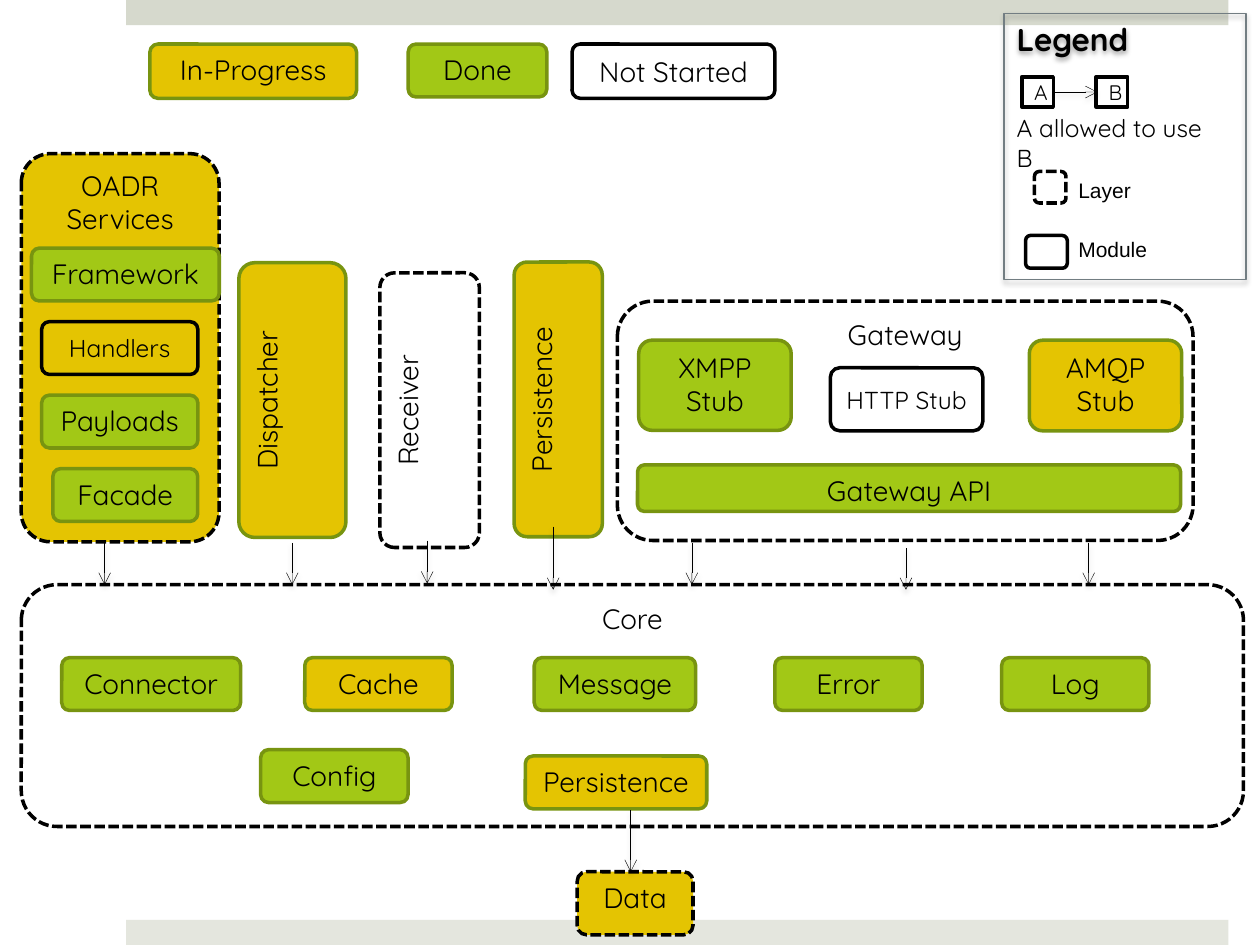
"""Build the module status and layering diagram slide."""
from dataclasses import dataclass

from lxml import etree
from pptx import Presentation
from pptx import util as u
from pptx.dml.color import RGBColor
from pptx.enum import dml, shapes, text
from pptx.oxml import ns


@dataclass(frozen=True)
class Theme:
    font: str = "Quicksand"
    label_font: str = "Arial"
    black: str = "000000"
    white: str = "FFFFFF"
    green: str = "A2C816"
    gold: str = "E4C402"
    olive: str = "789410"
    slate: str = "727D82"
    top_bar: str = "D6D9CD"
    bottom_bar: str = "E4E6DE"
    title: int = 18
    body: int = 16
    small: int = 14
    label: int = 12
    border: float = 2
    hairline: float = 0.25
    corner: float = 0.148


T = Theme()
DONE = dict(fill=T.green, line=T.olive)
PROGRESS = dict(fill=T.gold, line=T.olive)
TODO = dict(fill=T.white, line=T.black, size=T.small, middle=True)
LAYER = dict(fill=T.white, line=T.black, dash=True)
ACTIVE_LAYER = dict(LAYER, fill=T.gold)
KEY = dict(fill=T.white, line=T.black, size=T.label, middle=True, center=False, rounded=False)


class Diagram:
    def __init__(self, prs):
        self.s = prs.slides.add_slide(prs.slide_layouts[6])

    def add_runs(self, tf, lines, size, center=True, bold=False, font=T.font):
        for i, line in enumerate(lines.split("\n")):
            p = tf.add_paragraph() if i else tf.paragraphs[0]
            p.alignment = text.PP_ALIGN.CENTER if center else text.PP_ALIGN.LEFT
            r = p.add_run()
            r.text = line
            r.font.name, r.font.size, r.font.bold = font, u.Pt(size), bold
            r.font.color.rgb = RGBColor.from_string(T.black)

    def shadow(self, sp, alpha, dist):
        pr = sp.element.spPr
        fx = pr.find(ns.qn("a:effectLst"))
        if fx is None:
            fx = etree.SubElement(pr, ns.qn("a:effectLst"))
        outer = etree.SubElement(fx, ns.qn("a:outerShdw"), blurRad=str(u.Pt(3.1)),
                                 dist=str(u.Pt(dist)), dir="5400000", rotWithShape="0")
        color = etree.SubElement(outer, ns.qn("a:srgbClr"), val=T.black)
        etree.SubElement(color, ns.qn("a:alpha"), val=str(alpha * 1000))

    def box(self, at, words="", fill=None, line=None, width=T.border, dash=False, size=T.body,
            middle=False, center=True, bold=False, rounded=True, rotation=0):
        kind = shapes.MSO_SHAPE.ROUNDED_RECTANGLE if rounded else shapes.MSO_SHAPE.RECTANGLE
        sp = self.s.shapes.add_shape(kind, *map(u.Pt, at))
        sp.shadow.inherit = False
        sp.rotation = rotation
        if rounded:
            sp.adjustments[0] = T.corner
        if fill:
            sp.fill.solid()
            sp.fill.fore_color.rgb = RGBColor.from_string(fill)
        else:
            sp.fill.background()
        if line:
            sp.line.color.rgb = RGBColor.from_string(line)
            sp.line.width = u.Pt(width)
            if dash:
                sp.line.dash_style = dml.MSO_LINE.SQUARE_DOT
        else:
            sp.line.fill.background()
        tf = sp.text_frame
        tf.word_wrap = True
        tf.vertical_anchor = text.MSO_ANCHOR.MIDDLE if middle else text.MSO_ANCHOR.TOP
        if words:
            self.add_runs(tf, words, size, center, bold)
        return sp

    def label(self, at, words, size=T.label, font=T.label_font, wrap=False):
        tf = self.s.shapes.add_textbox(*map(u.Pt, at)).text_frame
        tf.word_wrap = wrap
        self.add_runs(tf, words, size, center=False, font=font)

    def arrow(self, x1, y1, x2, y2):
        c = self.s.shapes.add_connector(shapes.MSO_CONNECTOR.STRAIGHT,
                                        *map(u.Pt, (x1, y1, x2, y2)))
        c.line.color.rgb = RGBColor.from_string(T.black)
        c.line.width = u.Pt(T.hairline)
        etree.SubElement(c.get_or_add_ln(), ns.qn("a:tailEnd"), type="arrow")
        self.shadow(c, 35, 1.8)


def legend(d):
    d.box((591.1, 98, 18, 18), **LAYER)
    d.label((609.1, 98, 44.6, 21.6), "Layer")
    d.label((609.1, 131.8, 54, 21.6), "Module")
    frame = d.box((573.8, 7.9, 138.2, 151.9), "Legend", line=T.slate, width=0.75,
                  size=T.title, center=False, bold=True, rounded=False)
    d.shadow(frame, 38, 1.6)
    for x, name in ((583.9, "A"), (626.4, "B")):
        d.box((x, 43.9, 18, 17.3), name, **KEY)
    d.arrow(601.9, 52.6, 627.1, 52.6)
    d.label((573.8, 61.2, 121, 24.5), "A allowed to use B", T.small, T.font, wrap=True)
    d.box((586.1, 134.6, 23.8, 18.7), **TODO)


def status_key(d):
    d.box((85.7, 25.2, 118.1, 31), "In-Progress", **PROGRESS)
    d.box((233.3, 25.2, 79.2, 30.2), "Done", **DONE)
    d.box((326.9, 25.2, 115.9, 31), "Not Started", **dict(TODO, size=T.body))


def services(d):
    d.box((12.2, 87.8, 113, 221.8), "OADR\nServices", **ACTIVE_LAYER)
    modules = (("Framework", 18, 107.3, DONE), ("Handlers", 23.8, 89.3, dict(TODO, fill=T.gold)),
               ("Payloads", 23.8, 89.3, DONE), ("Facade", 30.2, 82.8, DONE))
    for i, (name, x, w, style) in enumerate(modules):
        d.box((x, 141.8 + 42 * i, w, 30.2), name, **style)


def columns(d):
    for name, x, y, h, style in (("Dispatcher", 88.6, 198, 61.2, PROGRESS),
                                 ("Receiver", 167, 205.9, 56.9, LAYER),
                                 ("Persistence", 240.5, 203, 50.4, PROGRESS)):
        d.box((x, y, 157, h), name, rotation=270, **style)


def gateway(d):
    d.box((352.8, 172.1, 329, 136.8), "Gateway", **LAYER)
    d.box((364.3, 265.7, 310.3, 26.6), "Gateway API", **DONE)
    d.box((365, 194.4, 87.1, 51.5), "XMPP Stub", **DONE)
    d.box((474.5, 210.2, 87.1, 36), "HTTP Stub", **TODO)
    d.box((588.2, 194.4, 87.1, 51.8), "AMQP Stub", **PROGRESS)


def core(d):
    d.box((12.2, 334.1, 698.4, 138.2), "Core", **LAYER)
    for name, x, y, w, style in (("Connector", 35.3, 375.8, 102.2, DONE),
                                 ("Cache", 174.2, 375.8, 84.2, PROGRESS),
                                 ("Message", 305.3, 375.8, 92.2, DONE),
                                 ("Error", 442.8, 375.8, 84.2, DONE),
                                 ("Log", 572.4, 375.8, 84.2, DONE),
                                 ("Config", 149, 428.4, 84.2, DONE),
                                 ("Persistence", 300.2, 432, 103.7, PROGRESS)):
        d.box((x, y, w, 30.2), name, **style)
    d.box((329.8, 498.2, 66.2, 36), "Data", **ACTIVE_LAYER)


def arrows(d):
    for x, top, bottom in ((59.8, 310.3, 334.1), (167, 310.3, 334.1), (244.1, 308.9, 333.4),
                           (316.1, 301, 337), (395.3, 310.3, 334.1), (517.7, 313.2, 337),
                           (622.1, 310.3, 334.1), (360.4, 463, 498.2)):
        d.arrow(x, top, x, bottom)


def main():
    prs = Presentation()
    prs.slide_width, prs.slide_height = u.Pt(720), u.Pt(540)
    d = Diagram(prs)
    for y, color in ((0, T.top_bar), (525.6, T.bottom_bar)):
        d.box((72, y, 630, 14.4), fill=color, rounded=False)
    for draw in (core, legend, status_key, services, columns, gateway, arrows):
        draw(d)
    prs.save("out.pptx")


if __name__ == "__main__":
    main()
